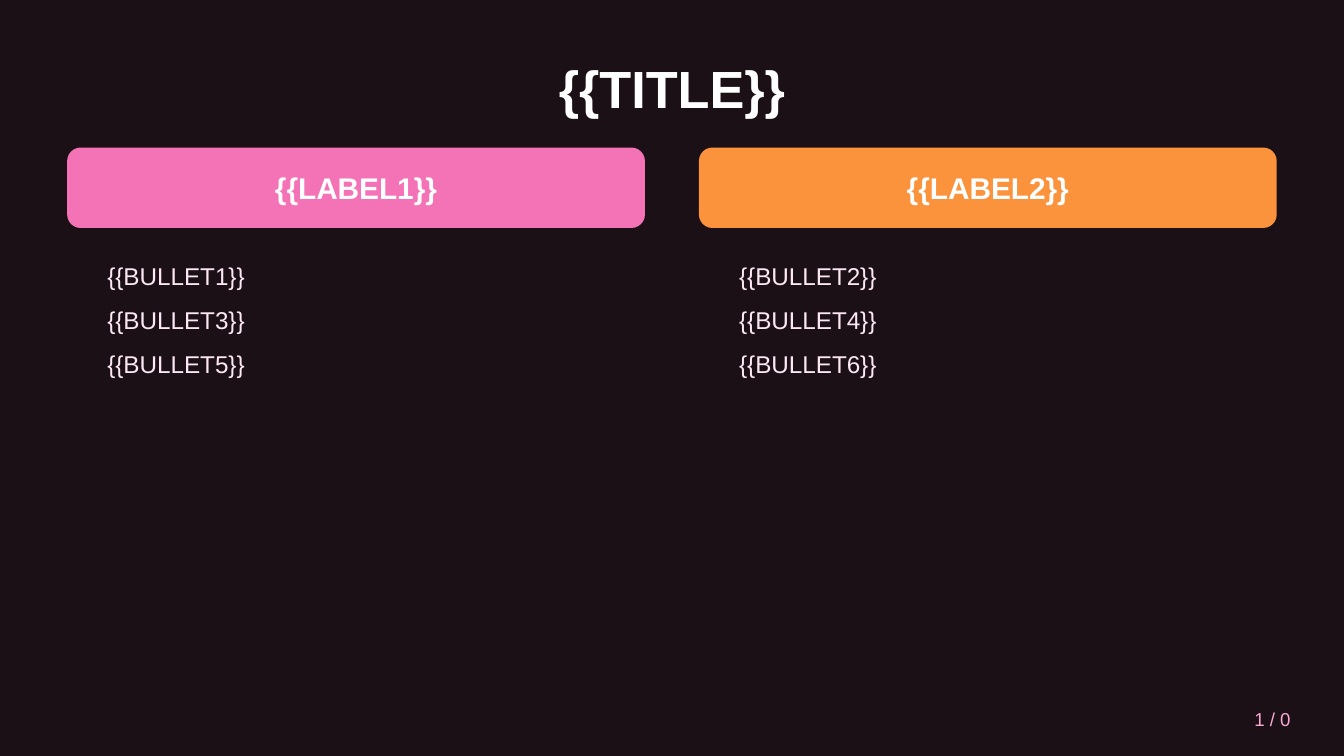
from pptx import Presentation
from pptx import util as u
from pptx.dml import color
from pptx.enum import shapes, text

FONT = "Arial"
WHITE = "FFFFFF"


def rgb(value):
    """Turn a hex string into a colour."""
    return color.RGBColor.from_string(value)


def write(shape, lines, size, hue, bold=False, align=text.PP_ALIGN.LEFT,
          anchor=text.MSO_ANCHOR.MIDDLE, gap=0):
    """Fill a shape with evenly styled paragraphs."""
    frame = shape.text_frame
    frame.word_wrap = True
    frame.auto_size = text.MSO_AUTO_SIZE.NONE
    frame.vertical_anchor = anchor
    frame.text = "\n".join(lines)
    for paragraph in frame.paragraphs:
        paragraph.alignment = align
        paragraph.space_after = u.Pt(gap)
        paragraph.font.name = FONT
        paragraph.font.size = u.Pt(size)
        paragraph.font.bold = bold
        paragraph.font.color.rgb = rgb(hue)


def place_title(slide, left, top, width, height, title):
    """Move the title placeholder into its box and format it."""
    shape = slide.shapes.title
    shape.left, shape.top = u.Cm(left), u.Cm(top)
    shape.width, shape.height = u.Cm(width), u.Cm(height)
    write(shape, [title], 28, WHITE, True, text.PP_ALIGN.CENTER)


def add_column(slide, left, top, width, height, label, fill, bullets):
    """Add a coloured label with a list of lines below it."""
    label_height, gap, inset = 1.52, 0.51, 0.51
    header = slide.shapes.add_shape(
        shapes.MSO_SHAPE.ROUNDED_RECTANGLE,
        u.Cm(left), u.Cm(top), u.Cm(width), u.Cm(label_height))
    header.shadow.inherit = False
    header.fill.solid()
    header.fill.fore_color.rgb = rgb(fill)
    header.line.fill.background()
    write(header, [label], 16, WHITE, True, text.PP_ALIGN.CENTER)

    body_offset = label_height + gap
    body = slide.shapes.add_textbox(
        u.Cm(left + inset), u.Cm(top + body_offset),
        u.Cm(width - 2 * inset), u.Cm(height - body_offset))
    write(body, bullets, 13, "FCE7F3", anchor=text.MSO_ANCHOR.TOP, gap=8)


def add_page_number(slide, left, top, width, height, number):
    """Add the right-aligned page number."""
    box = slide.shapes.add_textbox(u.Cm(left), u.Cm(top), u.Cm(width), u.Cm(height))
    write(box, [number], 10, "F9A8D4", align=text.PP_ALIGN.RIGHT)


def main():
    """Build the two-column slide and save it."""
    presentation = Presentation()
    presentation.slide_width = u.Cm(25.4)
    presentation.slide_height = u.Cm(14.29)
    slide = presentation.slides.add_slide(presentation.slide_layouts[5])
    slide.background.fill.solid()
    slide.background.fill.fore_color.rgb = rgb("1C1017")

    margin, column_width, column_gap = 1.27, 10.92, 1.02
    place_title(slide, margin, 0.76, 25.4 - 2 * margin, 1.78, "{{TITLE}}")
    columns = [
        ("{{LABEL1}}", "F472B6", ["{{BULLET1}}", "{{BULLET3}}", "{{BULLET5}}"]),
        ("{{LABEL2}}", "FB923C", ["{{BULLET2}}", "{{BULLET4}}", "{{BULLET6}}"]),
    ]
    for index, (label, fill, bullets) in enumerate(columns):
        left = margin + index * (column_width + column_gap)
        add_column(slide, left, 2.79, column_width, 9.14, label, fill, bullets)
    add_page_number(slide, 21.59, 13.21, 3.05, 0.76, "1 / 0")
    presentation.save("out.pptx")


if __name__ == "__main__":
    main()
